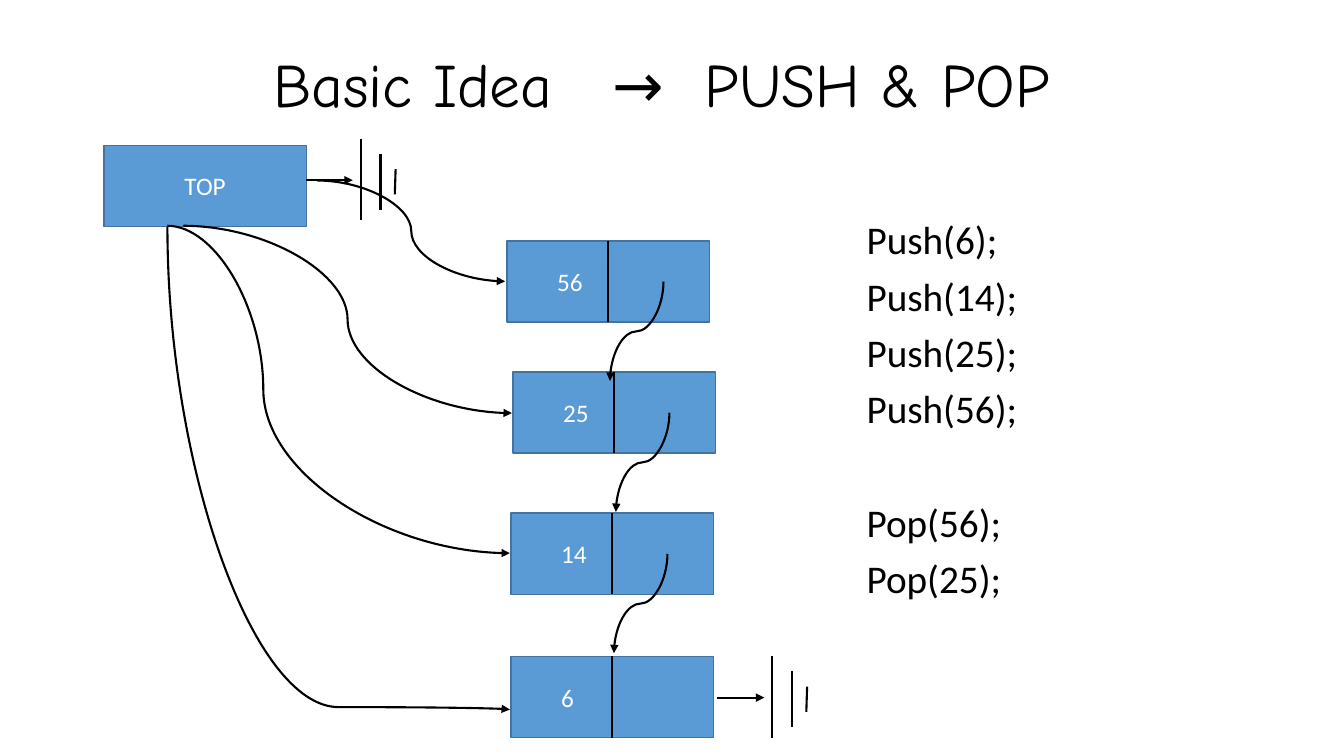
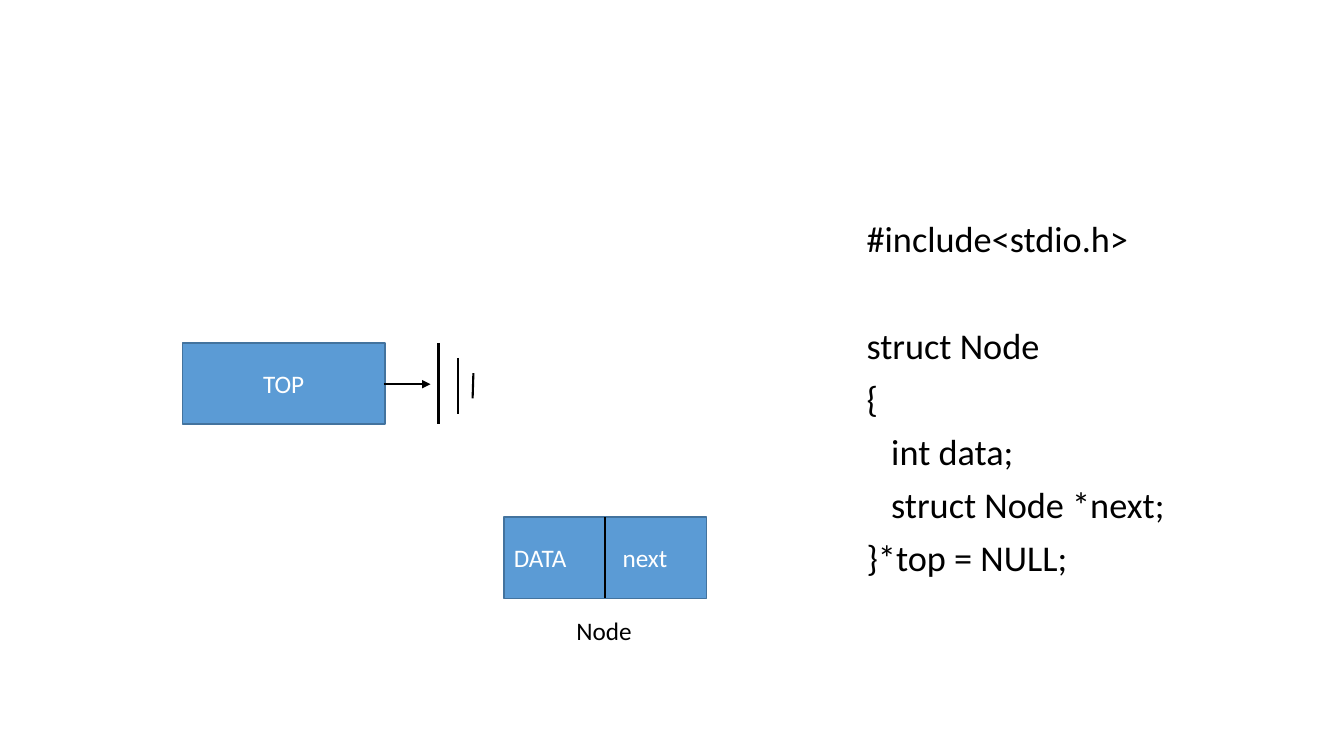
"""Two slides on a linked-list stack: push and pop, and the node structure."""
from lxml import etree
from pptx import Presentation, util as u
from pptx.dml.color import RGBColor
from pptx.enum import shapes, text
from pptx.oxml.ns import qn

Cm, Pt = u.Cm, u.Pt
BLUE, EDGE, BLACK, WHITE = "5B9BD5", "43739E", "000000", "FFFFFF"
BODY_FONT, TITLE_FONT = "Calibri", "Comic Neue"
BOX_W, BOX_H = 5.1, 2.05
LINE_SPACING, SPACE_BEFORE = 0.9, 10
LINE_HEIGHT = 1.22
LEFT, CENTER = text.PP_ALIGN.LEFT, text.PP_ALIGN.CENTER

# (text, extra letter spacing in points)
TITLE = [("Basic Idea", 0), (" ", 28), ("→", 0), (" ", 14), ("PUSH & POP ", 0)]
NODES = [("56", 12.78, 6.07), ("25", 12.93, 9.37), ("14", 12.88, 12.93), ("6", 12.88, 16.54)]
# (start, end, bend position, leaves downwards)
TOP_CURVES = [
    ((8, 4.55), (12.73, 7.09), 0.5, False),
    ((4.62, 5.69), (12.9, 10.41), 0.5, False),
    ((4.22, 5.69), (12.85, 13.94), 0.28, False),
    ((4.22, 5.71), (12.85, 17.88), 0.995, True),
]
# (text, indent in cm, blank line above)
CALLS = [
    ("Push(6);", 0, False), ("Push(14);", 0, False), ("Push(25);", 0, False),
    ("Push(56);", 0, False), ("Pop(56);", 0, True), ("Pop(25);", 0, False),
]
CODE = [
    ("#include<stdio.h>", 0, False), ("struct Node", 0, True), ("{", 0, False),
    ("int data;", 0.62, False), ("struct Node *next;", 0.62, False), ("}*top = NULL;", 0, False),
]
GROUND_BARS = [((0, 0), (0, 2.05)), ((0.5, 0.38), (0.5, 1.78)), ((0.88, 0.76), (0.86, 1.4))]
GROUND_ARROW = ((-1.38, 1.04), (-0.2, 1.04))


def rgb(hex_color):
    """Turn a hex string into a colour."""
    return RGBColor.from_string(hex_color)


def add_run(p, content, size, color, font=BODY_FONT, spacing=0):
    """Append one formatted run."""
    r = p.add_run()
    r.text = content
    r.font.name, r.font.size = font, Pt(size)
    r.font.color.rgb = rgb(color)
    if spacing:
        r.font._element.set("spc", str(spacing * 100))


def add_text(s, x, y, w, h, anchor=text.MSO_ANCHOR.MIDDLE):
    """Add an empty wrapping text box and return its frame."""
    tf = s.shapes.add_textbox(Cm(x), Cm(y), Cm(w), Cm(h)).text_frame
    tf.word_wrap = True
    tf.vertical_anchor = anchor
    return tf


def add_title(s, parts):
    """Add the centred slide title."""
    p = add_text(s, 2.33, 1.02, 29.21, 2.36).paragraphs[0]
    p.alignment, p.line_spacing = CENTER, LINE_SPACING
    for content, spacing in parts:
        add_run(p, content, 44, BLACK, TITLE_FONT, spacing)


def add_listing(s, lines, size):
    """Add the code column on the right."""
    tf = add_text(s, 21.59, 5.44, 8.51, 10.97, text.MSO_ANCHOR.TOP)
    blank = size * LINE_HEIGHT * LINE_SPACING + SPACE_BEFORE
    for i, (content, indent, gap) in enumerate(lines):
        p = tf.add_paragraph() if i else tf.paragraphs[0]
        p.line_spacing = LINE_SPACING
        p.space_before = Pt(SPACE_BEFORE + (blank if gap else 0))
        if indent:
            p._p.get_or_add_pPr().set("marL", str(Cm(indent)))
        add_run(p, content, size, BLACK)


def add_box(s, x, y, label, align=CENTER, inset=0.25, tab=None):
    """Add a labelled blue box."""
    sp = s.shapes.add_shape(shapes.MSO_SHAPE.RECTANGLE, Cm(x), Cm(y), Cm(BOX_W), Cm(BOX_H))
    sp.shadow.inherit = False
    sp.fill.solid()
    sp.fill.fore_color.rgb = rgb(BLUE)
    sp.line.color.rgb = rgb(EDGE)
    sp.line.width = Pt(1)
    tf = sp.text_frame
    tf.word_wrap = True
    tf.vertical_anchor = text.MSO_ANCHOR.MIDDLE
    tf.margin_left = Cm(inset)
    p = tf.paragraphs[0]
    p.alignment = align
    if tab:
        stops = etree.SubElement(p._p.get_or_add_pPr(), qn("a:tabLst"))
        etree.SubElement(stops, qn("a:tab"), pos=str(Cm(tab)), algn="l")
    add_run(p, label, 18, WHITE)


def add_line(s, start, end, arrow=False, kind=shapes.MSO_CONNECTOR.STRAIGHT):
    """Add a black connector, with an arrowhead at its end if asked."""
    line = s.shapes.add_connector(kind, *(Cm(v) for v in (*start, *end)))
    line.line.color.rgb = rgb(BLACK)
    line.line.width = Pt(1.5)
    if arrow:
        etree.SubElement(line.line._get_or_add_ln(), qn("a:tailEnd"), type="triangle")
    etree.SubElement(line._element.spPr, qn("a:effectLst"))
    return line


def add_curve(s, start, end, bend=0.5, down=False):
    """Add an S-shaped arrow that leaves sideways or downwards."""
    (x1, y1), (x2, y2) = start, end
    rotation = 0
    if down:
        mid_x, mid_y = (x1 + x2) / 2, (y1 + y2) / 2
        half_w, half_h = (y2 - y1) / 2, abs(x2 - x1) / 2
        side = -1 if x2 > x1 else 1
        rotation = 270 if x2 > x1 else 90
        start = (mid_x - side * half_w, mid_y - half_h)
        end = (mid_x + side * half_w, mid_y + half_h)
    curve = add_line(s, start, end, True, shapes.MSO_CONNECTOR.CURVE)
    sp_pr = curve._element.spPr
    if rotation:
        sp_pr.find(qn("a:xfrm")).set("rot", str(rotation * 60000))
    guides = sp_pr.find(qn("a:prstGeom")).find(qn("a:avLst"))
    etree.SubElement(guides, qn("a:gd"), name="adj1", fmla=f"val {round(bend * 100000)}")


def add_node(s, x, y, label, **box_options):
    """Add a box split into a data half and a link half."""
    add_box(s, x, y, label, LEFT, **box_options)
    middle = x + BOX_W / 2
    add_line(s, (middle, y), (middle, y + BOX_H))


def add_ground(s, x, y):
    """Add the null symbol with the arrow that leads to it."""
    for (x1, y1), (x2, y2) in [*GROUND_BARS, GROUND_ARROW]:
        add_line(s, (x + x1, y + y1), (x + x2, y + y2), y1 == GROUND_ARROW[0][1])


def push_pop_slide(s):
    """Draw the stack with its pushes and pops."""
    add_title(s, TITLE)
    add_box(s, 2.62, 3.66, "TOP")
    add_listing(s, CALLS, 28)
    for label, x, y in NODES:
        add_node(s, x, y, label, inset=1.26)
    add_ground(s, 9.09, 3.5)
    add_ground(s, 19.46, 16.54)
    for _, x, y in NODES[:-1]:
        add_curve(s, (x + 3.94, y + 1.03), (x + 2.59, y + 3.53), down=True)
    for curve in TOP_CURVES:
        add_curve(s, *curve)


def structure_slide(s):
    """Draw the empty stack and one node beside its declaration."""
    add_box(s, 4.6, 8.64, "TOP")
    add_ground(s, 11.05, 8.64)
    add_listing(s, CODE, 25.9)
    add_node(s, 12.7, 13.03, "DATA\tnext", tab=2.74)
    p = add_text(s, 13.56, 15.32, 3.33, 1.12).paragraphs[0]
    p.alignment = CENTER
    add_run(p, "Node", 18, BLACK)


def main():
    """Build and save the presentation."""
    prs = Presentation()
    prs.slide_width, prs.slide_height = Cm(33.87), Cm(19.05)
    for draw in (push_pop_slide, structure_slide):
        draw(prs.slides.add_slide(prs.slide_layouts[6]))
    prs.save("out.pptx")


if __name__ == "__main__":
    main()
